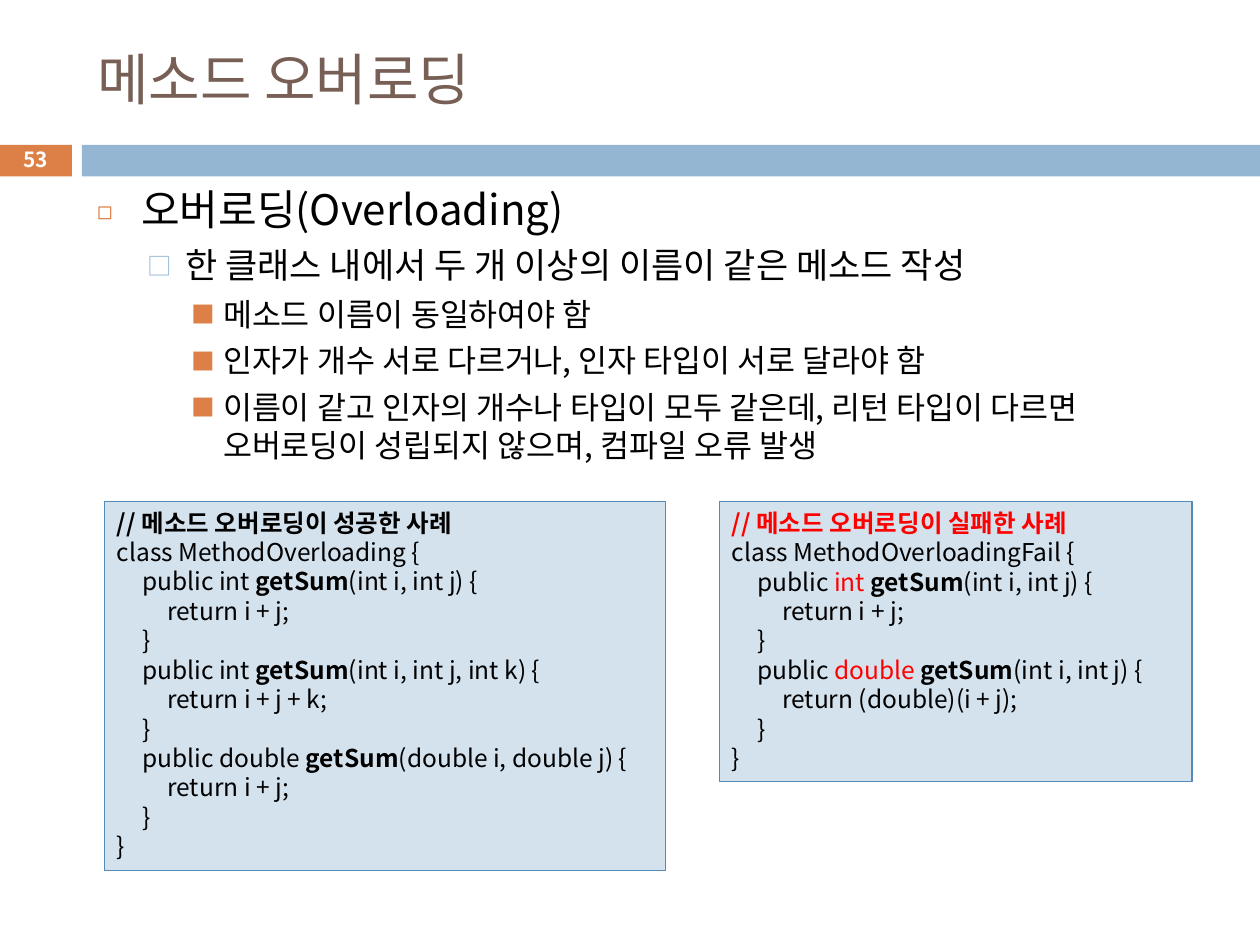
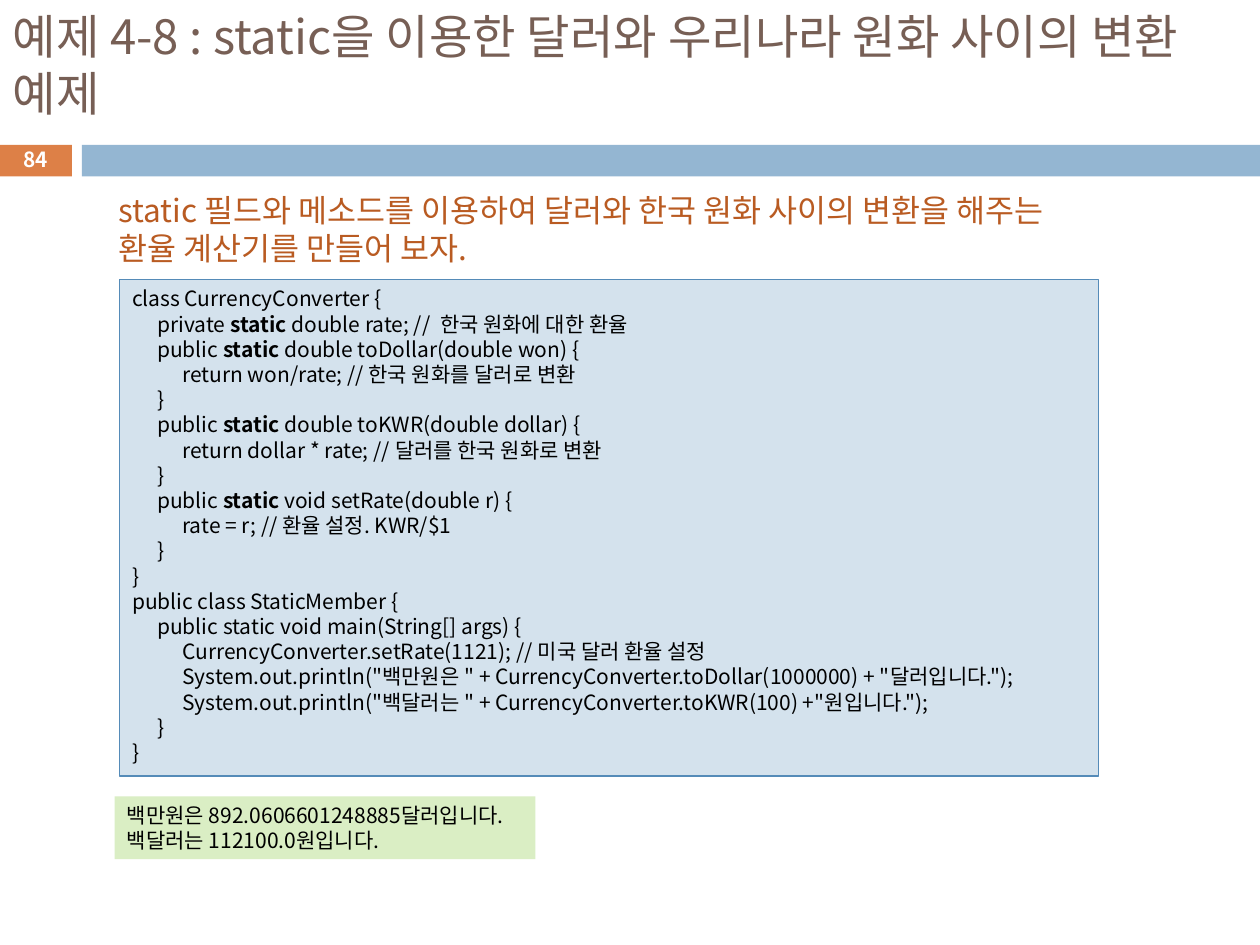
from lxml import etree
from pptx import Presentation
from pptx.dml.color import RGBColor
from pptx.enum.shapes import MSO_SHAPE
from pptx.enum.text import MSO_ANCHOR, MSO_AUTO_SIZE, PP_ALIGN
from pptx.oxml.ns import qn
from pptx.util import Inches, Pt

RECTANGLE = MSO_SHAPE.RECTANGLE
TOP, MIDDLE = MSO_ANCHOR.TOP, MSO_ANCHOR.MIDDLE
LEFT, CENTER = PP_ALIGN.LEFT, PP_ALIGN.CENTER
FIXED_SIZE = MSO_AUTO_SIZE.NONE

FONT = "Noto Sans CJK KR"
ORANGE, BLUE, BROWN, RUST = "DD8047", "94B6D2", "775F55", "B95B22"
BLACK, WHITE, RED = "000000", "FFFFFF", "FF0000"
CODE_FILL, CODE_LINE, OUTPUT_FILL = "D4E2ED", "558BB8", "DAEEC4"
LINE_RATIO = 1.2
TAB_STEP = 0.2
CODE_INDENT = "    "
BOLD_MARK, RED_MARK = "`", "^"

BANDS = [((-0.01, 1.15, 0.58, 0.25), ORANGE), ((0.65, 1.15, 9.35, 0.25), BLUE)]
NUMBER_AREA = (-0.01, 1.13, 0.58, 0.27)

BULLETS = [
    {"char": "◻", "color": ORANGE, "percent": 60, "margin": 0.35, "hang": 0.35, "size": 24, "before": 7},
    {"char": "□", "color": BLUE, "percent": 70, "margin": 0.7, "hang": 0.3, "size": 20, "before": 5.5},
    {"char": "■", "color": ORANGE, "percent": 75, "margin": 1, "hang": 0.25, "size": 18, "before": 5},
]

OVERLOADING_SUCCESS = """`// 메소드 오버로딩이 성공한 사례`
class MethodOverloading {
    public int `getSum`(int i, int j) {
        return i + j;
    }
    public int `getSum`(int i, int j, int k) {
        return i + j + k;
    }
    public double `getSum`(double i, double j) {
        return i + j;
    }
}"""

OVERLOADING_FAILURE = """`^// 메소드 오버로딩이 실패한 사례^`
class MethodOverloadingFail {
    public ^int ^`getSum`(int i, int j) {
        return i + j;
    }
    public ^double ^`getSum`(int i, int j) {
        return (double)(i + j);
    }
}"""

CURRENCY_CONVERTER = """class CurrencyConverter {
    private` static `double rate; //  한국 원화에 대한 환율
    public `static` double toDollar(double won) {
        return won/rate; // 한국 원화를 달러로 변환
    }
    public `static` double toKWR(double dollar) {
        return dollar * rate; // 달러를 한국 원화로 변환
    }
    public `static` void setRate(double r) {
        rate = r; // 환율 설정. KWR/$1
    }
}
public class StaticMember {
    public static void main(String[] args) {
        CurrencyConverter.setRate(1121); // 미국 달러 환율 설정
        System.out.println("백만원은 " + CurrencyConverter.toDollar(1000000) + "달러입니다.");
        System.out.println("백달러는 " + CurrencyConverter.toKWR(100) +"원입니다.");
    }
}"""

CONVERTER_OUTPUT = """백만원은 892.0606601248885달러입니다.
백달러는 112100.0원입니다."""

SLIDES = [
    {
        "number": "53",
        "title": ("메소드 오버로딩", (0.67, 0.25, 8.92, 0.74), 32),
        "points_area": (0.67, 1.41, 8.92, 2.58),
        "points": [
            (0, "오버로딩(Overloading)"),
            (1, "한 클래스 내에서 두 개 이상의 이름이 같은 메소드 작성"),
            (2, "메소드 이름이 동일하여야 함"),
            (2, "인자가 개수 서로 다르거나, 인자 타입이 서로 달라야 함"),
            (2, "이름이 같고 인자의 개수나 타입이 모두 같은데, 리턴 타입이 다르면 "
                "오버로딩이 성립되지 않으며, 컴파일 오류 발생"),
        ],
        "panels": [
            (OVERLOADING_SUCCESS, (0.83, 3.98, 4.45, 2.93), 14, CODE_FILL, CODE_LINE),
            (OVERLOADING_FAILURE, (5.71, 3.98, 3.75, 2.22), 14, CODE_FILL, CODE_LINE),
        ],
    },
    {
        "number": "84",
        "title": ("예제 4-8 : static을 이용한 달러와 우리나라 원화 사이의 변환 예제",
                  (0, 0, 9.96, 1.02), 27),
        "task": ("static 필드와 메소드를 이용하여 달러와 한국 원화 사이의 변환을 해주는 "
                 "환율 계산기를 만들어 보자.", (0.84, 1.47, 7.87, 0.71)),
        "panels": [
            (CURRENCY_CONVERTER, (0.95, 2.22, 7.77, 3.94), 12, CODE_FILL, CODE_LINE),
            (CONVERTER_OUTPUT, (0.91, 6.32, 3.34, 0.5), 12, OUTPUT_FILL, None),
        ],
    },
]


def rgb(color):
    return RGBColor.from_string(color)


def inches(area):
    return [Inches(length) for length in area]


def apply(target, values):
    for name, value in values.items():
        setattr(target, name, value)


def place(placeholder, area):
    apply(placeholder, dict(zip(("left", "top", "width", "height"), inches(area))))


def add_element(parent, tag, **attributes):
    return etree.SubElement(parent, qn(tag), attributes)


def set_frame(frame, anchor=TOP):
    apply(frame, {"word_wrap": True, "auto_size": FIXED_SIZE, "vertical_anchor": anchor})


def add_run(paragraph, text, size, color, bold=False):
    run = paragraph.add_run()
    run.text = text
    apply(run.font, {"size": Pt(size), "bold": bold, "name": FONT})
    run.font.color.rgb = rgb(color)
    add_element(run.font._element, "a:ea", typeface=FONT)


def set_paragraph(paragraph, size, align=LEFT, before=0):
    apply(paragraph, {"alignment": align, "line_spacing": Pt(round(size * LINE_RATIO, 1)),
                      "space_before": Pt(before)})


def write(frame, text, size, color, bold=False, align=LEFT, anchor=TOP):
    set_frame(frame, anchor)
    set_paragraph(frame.paragraphs[0], size, align)
    add_run(frame.paragraphs[0], text, size, color, bold)


def paragraphs_for(frame, items):
    for index, item in enumerate(items):
        yield (frame.add_paragraph() if index else frame.paragraphs[0]), item


def add_box(slide, area, fill, line=None):
    box = slide.shapes.add_shape(RECTANGLE, *inches(area))
    box.shadow.inherit = False
    box.fill.solid()
    box.fill.fore_color.rgb = rgb(fill)
    if line:
        box.line.color.rgb = rgb(line)
        box.line.width = Pt(0.75)
    else:
        box.line.fill.background()
    return box


def marked_runs(line):
    for bold, part in enumerate(line.split(BOLD_MARK)):
        for red, text in enumerate(part.split(RED_MARK)):
            if text:
                yield text, bold % 2 == 1, RED if red % 2 else BLACK


def add_panel(slide, text, area, size, fill, line):
    frame = add_box(slide, area, fill, line).text_frame
    set_frame(frame)
    for paragraph, code_line in paragraphs_for(frame, text.split("\n")):
        set_paragraph(paragraph, size)
        tabs = add_element(paragraph._p.get_or_add_pPr(), "a:tabLst")
        for stop in (1, 2):
            add_element(tabs, "a:tab", pos=str(Inches(TAB_STEP * stop)), algn="l")
        for run_text, bold, color in marked_runs(code_line.replace(CODE_INDENT, "\t")):
            add_run(paragraph, run_text, size, color, bold)


def add_points(body, area, points):
    place(body, area)
    set_frame(body.text_frame)
    for paragraph, (level, text) in paragraphs_for(body.text_frame, points):
        bullet = BULLETS[level]
        first = text == points[0][1]
        paragraph.level = level
        set_paragraph(paragraph, bullet["size"], before=0 if first else bullet["before"])
        properties = paragraph._p.get_or_add_pPr()
        properties.set("marL", str(Inches(bullet["margin"])))
        properties.set("indent", str(-Inches(bullet["hang"])))
        add_element(add_element(properties, "a:buClr"), "a:srgbClr", val=bullet["color"])
        add_element(properties, "a:buSzPct", val=str(bullet["percent"] * 1000))
        add_element(properties, "a:buFont", typeface=FONT)
        add_element(properties, "a:buChar", char=bullet["char"])
        add_run(paragraph, text, bullet["size"], BLACK)


def build_slide(deck, content):
    layout = deck.slide_layouts.get_by_name(
        "Title and Content" if "points" in content else "Title Only")
    slide = deck.slides.add_slide(layout)
    for area, fill in BANDS:
        add_box(slide, area, fill)
    title, area, size = content["title"]
    place(slide.shapes.title, area)
    write(slide.shapes.title.text_frame, title, size, BROWN, anchor=MIDDLE)
    if "points" in content:
        add_points(slide.placeholders[1], content["points_area"], content["points"])
    for panel in content["panels"]:
        add_panel(slide, *panel)
    number = slide.shapes.add_textbox(*inches(NUMBER_AREA))
    write(number.text_frame, content["number"], 11.9, WHITE, True, CENTER, MIDDLE)
    if "task" in content:
        task, area = content["task"]
        write(slide.shapes.add_textbox(*inches(area)).text_frame, task, 18, RUST)


def main():
    deck = Presentation()
    deck.slide_width, deck.slide_height = Inches(10), Inches(7.5)
    for content in SLIDES:
        build_slide(deck, content)
    deck.save("out.pptx")


if __name__ == "__main__":
    main()
